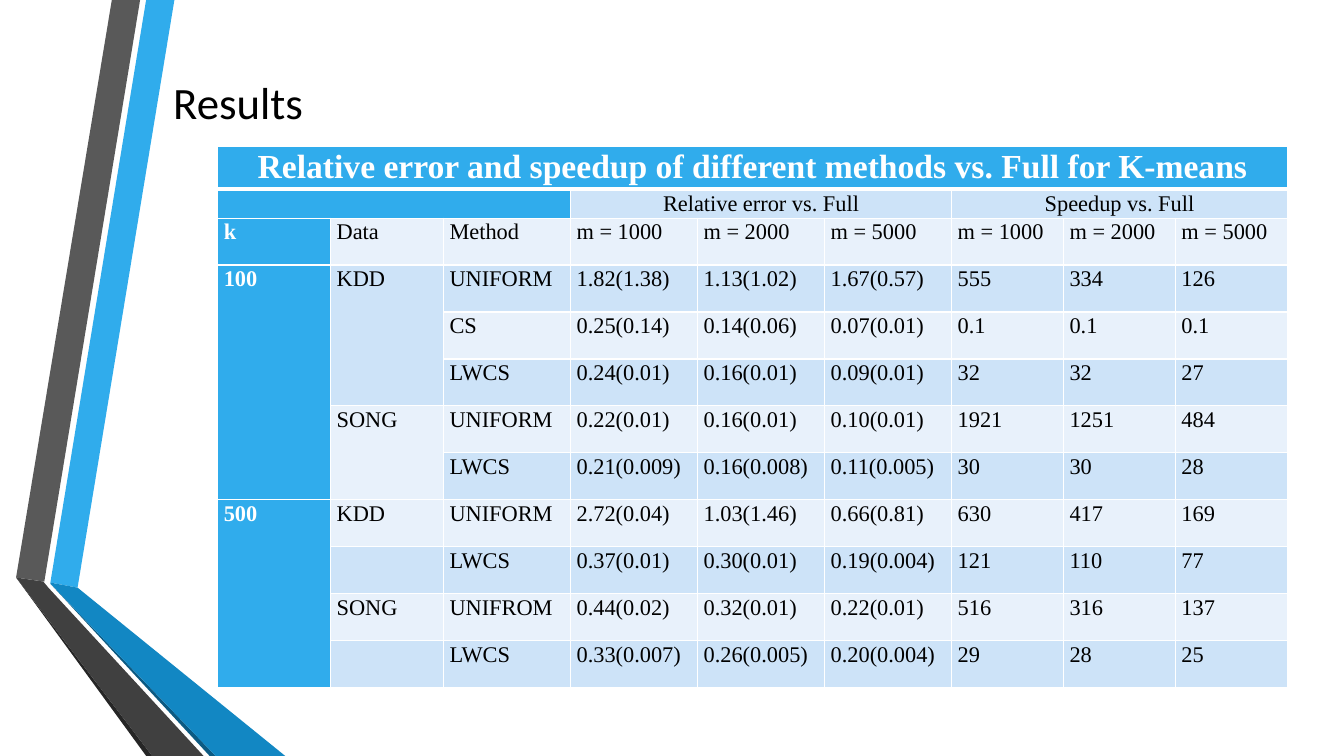
"""Build the results slide that compares K-means sampling methods."""
from lxml import etree
from pptx import Presentation
from pptx.dml.color import RGBColor
from pptx.enum.text import MSO_ANCHOR, PP_ALIGN
from pptx.oxml.ns import qn
from pptx.util import Inches, Pt

CENTER, JUSTIFY, LEFT = PP_ALIGN.CENTER, PP_ALIGN.JUSTIFY, PP_ALIGN.LEFT
MIDDLE = MSO_ANCHOR.MIDDLE

BLACK = RGBColor(0x00, 0x00, 0x00)
WHITE = RGBColor(0xFF, 0xFF, 0xFF)
ACCENT = RGBColor(0x30, 0xAC, 0xEC)
DARK_BAND = RGBColor(0xCD, 0xE3, 0xF8)
LIGHT_BAND = RGBColor(0xE8, 0xF1, 0xFB)
BLUE = RGBColor(0x12, 0x87, 0xC3)
DEEP_BLUE = RGBColor(0x0C, 0x5A, 0x82)
GRAY = RGBColor(0x59, 0x59, 0x59)
DARK_GRAY = RGBColor(0x40, 0x40, 0x40)
CHARCOAL = RGBColor(0x26, 0x26, 0x26)

RIBBONS = [
    (ACCENT, [(0.5, 5.78), (0.77, 5.83), (1.73, 0), (1.45, 0)]),
    (GRAY, [(1.39, 0), (1.11, 0), (0.16, 5.73), (0.44, 5.77)]),
    (CHARCOAL, [(0.16, 5.73), (1.45, 7.5), (1.51, 7.5)]),
    (DEEP_BLUE, [(0.5, 5.79), (2.08, 7.5), (2.14, 7.5)]),
    (BLUE, [(0.5, 5.79), (2.14, 7.5), (2.83, 7.5), (0.77, 5.83), (0.5, 5.78)]),
    (DARK_GRAY, [(2.02, 7.5), (0.48, 5.83), (0.43, 5.77), (0.16, 5.73), (1.51, 7.5)]),
]

COLUMN_WIDTHS = [1.12] * 2 + [1.26] * 4 + [1.11] * 3
ROW_HEIGHTS = [Inches(0.23)] * 2 + [Inches(4.66) // 10] * 10
SAMPLE_SIZES = ["m = 1000", "m = 2000", "m = 5000"]
RESULTS = [
    ["Relative error and speedup of different methods vs. Full for K-means"] + [""] * 8,
    ["", "", "", "Relative error vs. Full", "", "", "Speedup vs. Full", "", ""],
    ["k", "Data", "Method"] + SAMPLE_SIZES * 2,
    ["100", "KDD", "UNIFORM", "1.82(1.38)", "1.13(1.02)", "1.67(0.57)", "555", "334", "126"],
    ["", "", "CS", "0.25(0.14)", "0.14(0.06)", "0.07(0.01)", "0.1", "0.1", "0.1"],
    ["", "", "LWCS", "0.24(0.01)", "0.16(0.01)", "0.09(0.01)", "32", "32", "27"],
    ["", "SONG", "UNIFORM", "0.22(0.01)", "0.16(0.01)", "0.10(0.01)", "1921", "1251", "484"],
    ["", "", "LWCS", "0.21(0.009)", "0.16(0.008)", "0.11(0.005)", "30", "30", "28"],
    ["500", "KDD", "UNIFORM", "2.72(0.04)", "1.03(1.46)", "0.66(0.81)", "630", "417", "169"],
    ["", "", "LWCS", "0.37(0.01)", "0.30(0.01)", "0.19(0.004)", "121", "110", "77"],
    ["", "SONG", "UNIFROM", "0.44(0.02)", "0.32(0.01)", "0.22(0.01)", "516", "316", "137"],
    ["", "", "LWCS", "0.33(0.007)", "0.26(0.005)", "0.20(0.004)", "29", "28", "25"],
]
MERGES = [
    ((0, 0), (0, 8)),
    ((1, 0), (1, 2)), ((1, 3), (1, 5)), ((1, 6), (1, 8)),
    ((3, 0), (7, 0)), ((8, 0), (11, 0)),
    ((3, 1), (5, 1)), ((6, 1), (7, 1)),
]


class ResultsSlide:
    """Holds the fonts and the current slide, and draws each kind of element."""

    title_font = "Calibri"
    table_font = "Times New Roman"

    def __init__(self, presentation):
        self.slide = presentation.slides.add_slide(presentation.slide_layouts[6])

    def ribbon(self, color, points):
        corners = [(Inches(x), Inches(y)) for x, y in points]
        builder = self.slide.shapes.build_freeform(*corners[0])
        builder.add_line_segments(corners[1:], close=True)
        shape = builder.convert_to_shape()
        shape.shadow.inherit = False
        shape.fill.solid()
        shape.fill.fore_color.rgb = color
        shape.line.fill.background()

    def text(self, paragraph, text, font, size, color, bold=False):
        run = paragraph.add_run()
        run.text = text
        run.font.name = font
        run.font.size = Pt(size)
        run.font.bold = bold
        run.font.color.rgb = color

    def title(self, text, left, top, width, height):
        shape = self.slide.shapes.add_textbox(
            Inches(left), Inches(top), Inches(width), Inches(height))
        frame = shape.text_frame
        frame.word_wrap = True
        frame.vertical_anchor = MIDDLE
        self.text(frame.paragraphs[0], text, self.title_font, 32, BLACK)

    def border(self, cell, position, side, width):
        line = etree.Element(qn(f"a:ln{side}"), w=str(Pt(width)))
        fill = etree.SubElement(line, qn("a:solidFill"))
        etree.SubElement(fill, qn("a:srgbClr"), val=str(WHITE))
        cell._tc.get_or_add_tcPr().insert(position, line)

    def cell(self, cell, row, column, text):
        is_header = row == 0 or (column == 0 and row > 1)
        is_accent = is_header or (row == 1 and column < 3)
        band = DARK_BAND if row % 2 else LIGHT_BAND
        cell.margin_left = cell.margin_right = Inches(0.06)
        cell.margin_top = cell.margin_bottom = 0
        cell.fill.solid()
        cell.fill.fore_color.rgb = ACCENT if is_accent else band
        thick_side = {0: "B", 1: "T"}.get(row)
        for position, side in enumerate("LRTB"):
            self.border(cell, position, side, 3 if side == thick_side else 1)
        paragraph = cell.text_frame.paragraphs[0]
        paragraph.line_spacing = 1.07
        paragraph.alignment = CENTER if row < 2 else LEFT if column else JUSTIFY
        if text:
            self.text(paragraph, text, self.table_font, 16 if row else 24,
                      WHITE if is_header else BLACK, is_header)
        else:
            paragraph._p.get_or_add_endParaRPr().set("sz", "1600")

    def table(self, rows, merges, left, top):
        table = self.slide.shapes.add_table(
            len(rows), len(COLUMN_WIDTHS), Inches(left), Inches(top),
            Inches(sum(COLUMN_WIDTHS)), sum(ROW_HEIGHTS)).table
        table.first_row = table.horz_banding = False
        for column, width in zip(table.columns, COLUMN_WIDTHS):
            column.width = Inches(width)
        for row, height in zip(table.rows, ROW_HEIGHTS):
            row.height = height
        for row_index, values in enumerate(rows):
            for column_index, value in enumerate(values):
                self.cell(table.cell(row_index, column_index),
                          row_index, column_index, value)
        for first, last in merges:
            table.cell(*first).merge(table.cell(*last))


def main():
    presentation = Presentation()
    presentation.slide_width = Inches(13.33)
    presentation.slide_height = Inches(7.5)
    results = ResultsSlide(presentation)
    for color, points in RIBBONS:
        results.ribbon(color, points)
    results.title("Results", 1.62, 0.43, 10.96, 1.15)
    results.table(RESULTS, MERGES, 2.16, 1.45)
    presentation.save("out.pptx")


if __name__ == "__main__":
    main()
